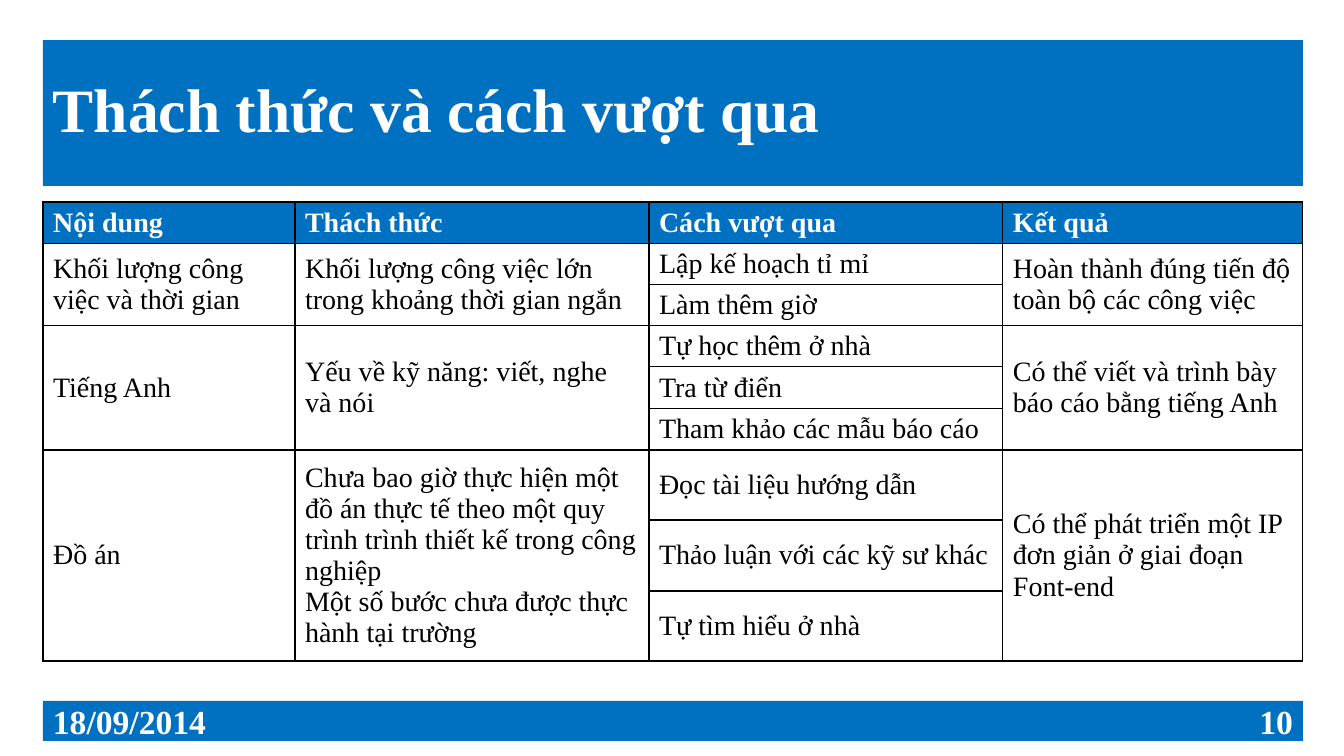
from lxml import etree
from pptx import Presentation
from pptx import util as u
from pptx.dml.color import RGBColor
from pptx.enum import shapes, text
from pptx.oxml.ns import qn

SCALE = 9071  # EMU per pixel, 100.8 pixels to the inch
FONT = "Times New Roman"
BLUE, WHITE, BLACK = "0070C0", "FFFFFF", "000000"
LEFT, WIDTH = 43, 1260

HEADERS = ["Nội dung", "Thách thức", "Cách vượt qua", "Kết quả"]
# Topic, challenge paragraphs, solutions (one row each), result, row heights
TOPICS = [
    ("Khối lượng công việc và thời gian",
     ["Khối lượng công việc lớn trong khoảng thời gian ngắn"],
     ["Lập kế hoạch tỉ mỉ", "Làm thêm giờ"],
     "Hoàn thành đúng tiến độ toàn bộ các công việc", [41, 41]),
    ("Tiếng Anh",
     ["Yếu về kỹ năng: viết, nghe và nói"],
     ["Tự học thêm ở nhà", "Tra từ điển", "Tham khảo các mẫu báo cáo"],
     "Có thể viết và trình bày báo cáo bằng tiếng Anh", [41, 42, 41]),
    ("Đồ án",
     ["Chưa bao giờ thực hiện một đồ án thực tế theo một quy trình "
      "trình thiết kế trong công nghiệp",
      "Một số bước chưa được thực hành tại trường"],
     ["Đọc tài liệu hướng dẫn", "Thảo luận với các kỹ sư khác",
      "Tự tìm hiểu ở nhà"],
     "Có thể phát triển một IP đơn giản ở giai đoạn Font-end", [70, 71, 70]),
]
COLUMN_WIDTHS = [252, 354, 354, 300]
HEADER_HEIGHT = 41


def px(pixels):
    """Turn pixels into EMU."""
    return u.Emu(pixels * SCALE)


def color(hex_string):
    """Turn a hex string into a colour."""
    return RGBColor.from_string(hex_string)


def write(frame, lines, size, hex_color, bold, align=text.PP_ALIGN.LEFT):
    """Write one paragraph with one run for each line."""
    for index, line in enumerate(lines):
        paragraph = frame.add_paragraph() if index else frame.paragraphs[0]
        paragraph.alignment = align
        run = paragraph.add_run()
        run.text = line
        run.font.name, run.font.size, run.font.bold = FONT, u.Pt(size), bold
        run.font.color.rgb = color(hex_color)


def add_bar(slide, box, label, size, align=text.PP_ALIGN.LEFT):
    """Add a blue bar with bold white text and return its shape."""
    shape = slide.shapes.add_shape(shapes.MSO_SHAPE.RECTANGLE, *map(px, box))
    shape.shadow.inherit = False
    shape.fill.solid()
    shape.fill.fore_color.rgb = color(BLUE)
    shape.line.fill.background()
    shape.text_frame.word_wrap = True
    shape.text_frame.vertical_anchor = text.MSO_ANCHOR.MIDDLE
    write(shape.text_frame, [label], size, WHITE, True, align)
    return shape


def style_cell(cell, fill):
    """Give a cell its fill (or none) and thin black borders."""
    properties = cell._tc.get_or_add_tcPr()
    for side in ("lnL", "lnR", "lnT", "lnB"):
        line = etree.SubElement(properties, qn(f"a:{side}"), w=str(u.Pt(1)))
        solid = etree.SubElement(line, qn("a:solidFill"))
        etree.SubElement(solid, qn("a:srgbClr"), val=BLACK)
    if fill:
        cell.fill.solid()
        cell.fill.fore_color.rgb = color(fill)
    else:
        cell.fill.background()


def fill_body_cell(cell, lines):
    """Write black text centred vertically in a cell."""
    cell.vertical_anchor = text.MSO_ANCHOR.MIDDLE
    write(cell.text_frame, lines, 20, BLACK, False)


def add_challenge_table(slide, left, top):
    """Add the table; each topic spans the rows of its solutions."""
    heights = [HEADER_HEIGHT] + [height for topic in TOPICS for height in topic[4]]
    table = slide.shapes.add_table(
        len(heights), len(COLUMN_WIDTHS), px(left), px(top),
        px(sum(COLUMN_WIDTHS)), px(sum(heights))).table
    table.horz_banding = False
    for column, width in zip(table.columns, COLUMN_WIDTHS):
        column.width = px(width)
    for index, (row, height) in enumerate(zip(table.rows, heights)):
        row.height = px(height)
        for cell in row.cells:
            style_cell(cell, None if index else BLUE)

    for column, header in enumerate(HEADERS):
        write(table.cell(0, column).text_frame, [header], 20, WHITE, True)
    first = 1
    for topic, challenges, solutions, result, _ in TOPICS:
        last = first + len(solutions) - 1
        for column, lines in ((0, [topic]), (1, challenges), (3, [result])):
            cell = table.cell(first, column)
            cell.merge(table.cell(last, column))
            fill_body_cell(cell, lines)
        for row, solution in enumerate(solutions, first):
            fill_body_cell(table.cell(row, 2), [solution])
        first = last + 1


def add_title(slide, box):
    """Add the title bar."""
    title = add_bar(slide, box, "Thách thức và cách vượt qua", 44)
    title.text_frame.paragraphs[0].line_spacing = 0.9


def add_footer(slide, left, top, width, height):
    """Add the date bar and, beside it, the page number bar."""
    date_width = 597
    add_bar(slide, (left, top, date_width, height), "18/09/2014", 24)
    add_bar(slide, (left + date_width, top, width - date_width, height),
            "10", 24, text.PP_ALIGN.RIGHT)


def main():
    """Build the slide and save it."""
    presentation = Presentation()
    presentation.slide_width, presentation.slide_height = px(1344), px(756)
    slide = presentation.slides.add_slide(presentation.slide_layouts[6])
    add_title(slide, (LEFT, 40, WIDTH, 146))
    add_challenge_table(slide, LEFT, 202)
    add_footer(slide, LEFT, 701, WIDTH, 40)
    presentation.save("out.pptx")


main()
